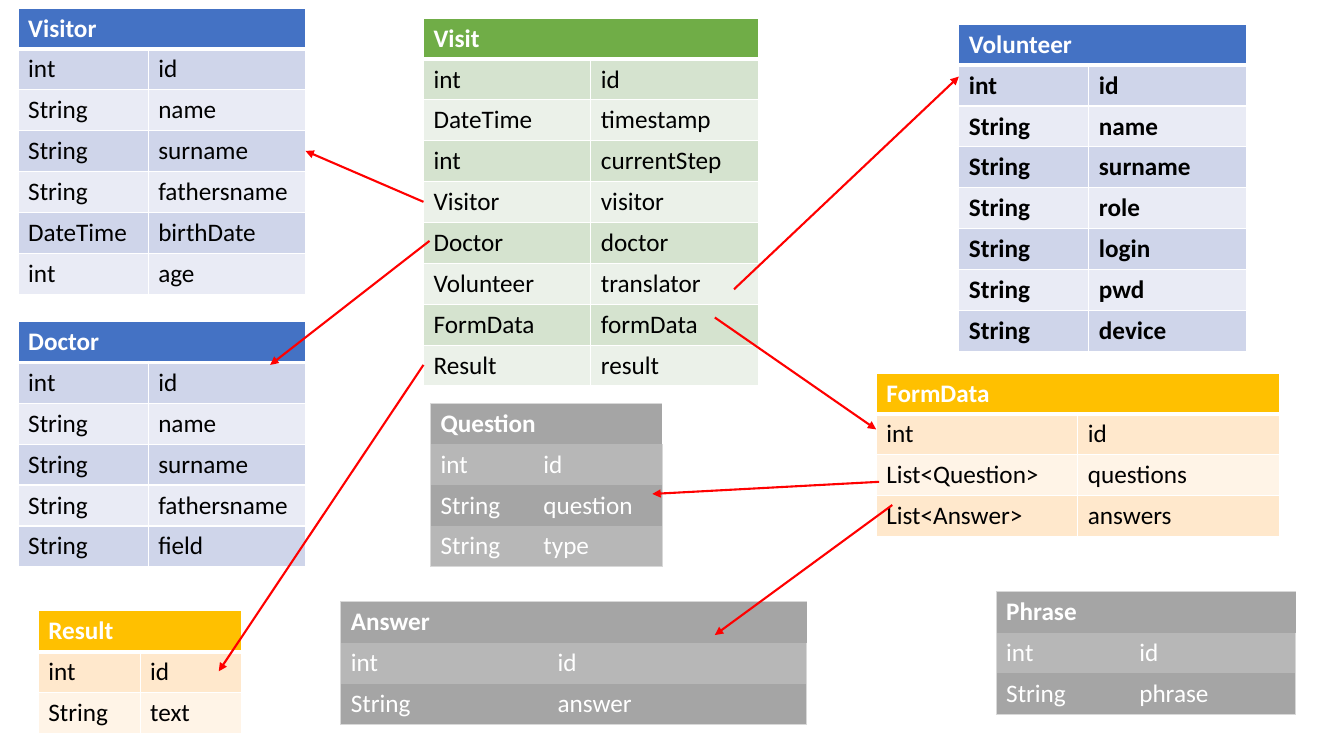
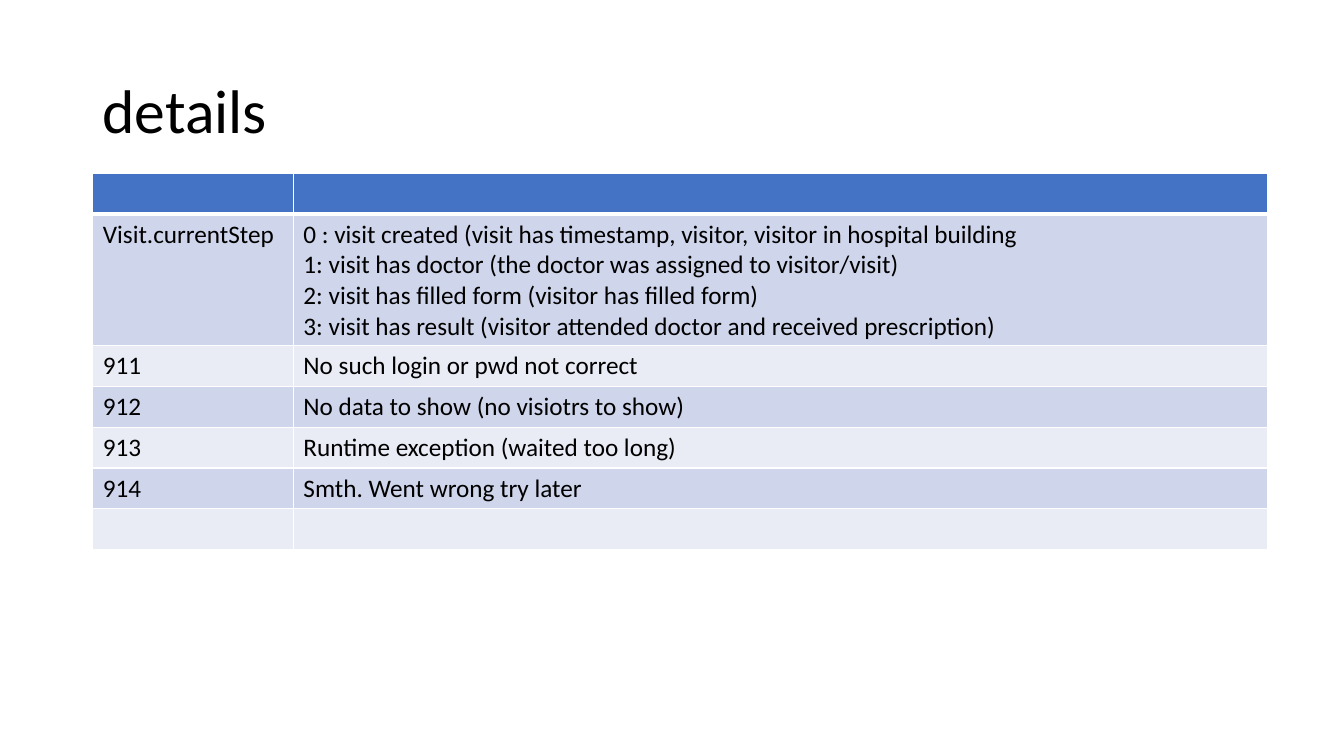
from dataclasses import dataclass

from pptx import Presentation
from pptx import util as u
from pptx.dml.color import RGBColor
from pptx.enum import shapes, text
from pptx.oxml import parse_xml
from pptx.oxml.ns import nsdecls
from pptx.presentation import Presentation as Deck
from pptx.shapes.connector import Connector
from pptx.shapes.graphfrm import GraphicFrame
from pptx.slide import Slide
from pptx.table import _Cell as Cell

FONT = "Calibri"
BLACK, WHITE, RED, SILVER = "000000", "FFFFFF", "FF0000", "D8D8D8"
ROW = u.Inches(1.62) // 4
LEFT, RIGHT = 1, 3  # connection sites


@dataclass(frozen=True)
class Theme:
    header: str
    odd: str
    even: str
    ink: str = BLACK
    grid: bool = True


BLUE = Theme("4472C4", "CFD5EA", "E9EBF5")
GREEN = Theme("70AD47", "D5E3CF", "EBF1E9")
GOLD = Theme("FFC000", "FFE8CC", "FFF4E7")
GRAY = Theme("A5A5A5", "B7B7B7", "A5A5A5", ink=WHITE, grid=False)


@dataclass(frozen=True)
class Grid:
    """A table; a header of one text spans all columns."""
    header: tuple[str, ...]
    theme: Theme
    left: float
    top: float
    widths: tuple[float, float]
    rows: list[tuple[str, str]]
    bold: bool = False


@dataclass(frozen=True)
class Arrow:
    start: tuple[float, float]
    end: tuple[float, float]


def fields(listing: str) -> list[tuple[str, str]]:
    """Split 'type name, type name' into pairs."""
    pairs = (item.split() for item in listing.split(", "))
    return [(kind, name) for kind, name in pairs]


ENTITIES = [
    Grid(("Visitor",), BLUE, 0.18, 0.08, (1.29, 1.56),
         fields("int id, String name, String surname, String fathersname, "
                "DateTime birthDate, int age")),
    Grid(("Doctor",), BLUE, 0.18, 3.19, (1.29, 1.56),
         fields("int id, String name, String surname, String fathersname, "
                "String field")),
    Grid(("Volunteer",), BLUE, 9.51, 0.24, (1.29, 1.56),
         fields("int id, String name, String surname, String role, "
                "String login, String pwd, String device"), bold=True),
    Grid(("Visit",), GREEN, 4.2, 0.18, (1.66, 1.66),
         fields("int id, DateTime timestamp, int currentStep, Visitor visitor, "
                "Doctor doctor, Volunteer translator, FormData formData, "
                "Result result")),
    Grid(("Result",), GOLD, 0.38, 6.06, (1.01, 1.01),
         fields("int id, String text")),
    Grid(("FormData",), GOLD, 8.69, 3.7, (2, 2),
         fields("int id, List<Question> questions, List<Answer> answers")),
    Grid(("Question",), GRAY, 4.27, 4, (1.02, 1.28),
         fields("int id, String question, String type")),
    Grid(("Answer",), GRAY, 3.38, 5.97, (2.05, 2.57),
         fields("int id, String answer")),
    Grid(("Phrase",), GRAY, 9.88, 5.87, (1.32, 1.65),
         fields("int id, String phrase")),
]

VISIT_TO_VISITOR = Arrow((4.2, 2), (3.03, 1.5))
FIELD_ARROWS = [
    Arrow((4.2, 3.62), (2.17, 6.66)),
    Arrow((7.28, 2.87), (9.51, 0.76)),
    Arrow((4.26, 2.39), (2.68, 3.62)),
    Arrow((7.09, 3.15), (8.69, 4.26)),
    Arrow((8.72, 4.78), (6.47, 4.9)),
    Arrow((8.85, 5.01), (7.09, 6.3)),
]

STEPS = "\n".join([
    "0 : visit created (visit has timestamp, visitor, visitor in hospital building",
    "1: visit has doctor (the doctor was assigned to visitor/visit)",
    "2: visit has filled form (visitor has filled form)",
    "3: visit has result (visitor attended doctor and received prescription)",
])
DETAILS = Grid(("", ""), BLUE, 0.92, 1.72, (1.99, 9.66), [
    ("Visit.currentStep", STEPS),
    ("911", "No such login or pwd not correct"),
    ("912", "No data to show (no visiotrs to show)"),
    ("913", "Runtime exception (waited too long)"),
    ("914", "Smth. Went wrong try later"),
    ("", ""),
])


def rgb(color: str) -> RGBColor:
    return RGBColor.from_string(color)


def write(tf: text, value: str, size: float, color: str, bold: bool = False) -> None:
    """Write one paragraph for each line of the value."""
    for i, line in enumerate(value.split("\n")):
        p = tf.add_paragraph() if i else tf.paragraphs[0]
        p.font.size = u.Pt(size)
        if line:
            r = p.add_run()
            r.text = line
            r.font.name, r.font.size, r.font.bold = FONT, u.Pt(size), bold
            r.font.color.rgb = rgb(color)


def set_border(cell: Cell, side: str, color: str, points: float) -> None:
    """Draw one side of a cell; zero points leaves it without a line."""
    fill = (f'<a:solidFill><a:srgbClr val="{color}"/></a:solidFill>'
            if points else "<a:noFill/>")
    cell._tc.get_or_add_tcPr().append(parse_xml(
        f'<a:ln{side} {nsdecls("a")} w="{int(u.Pt(points))}">{fill}</a:ln{side}>'))


def set_borders(cell: Cell, row: int, col: int, last_row: int, theme: Theme) -> None:
    if theme.grid:
        widths = {"L": 1, "R": 1, "T": 3 if row == 1 else 1, "B": 1 if row else 3}
    else:
        outer = {"L": col == 0, "R": col == 1, "T": row == 0, "B": row == last_row}
        widths = {side: 0.5 * on for side, on in outer.items()}
    for side, points in widths.items():
        set_border(cell, side, WHITE if theme.grid else SILVER, points)


def draw_grid(s: Slide, grid: Grid) -> GraphicFrame:
    theme, count = grid.theme, len(grid.rows) + 1
    frame = s.shapes.add_table(count, 2, u.Inches(grid.left), u.Inches(grid.top),
                               u.Inches(sum(grid.widths)), ROW * count)
    table = frame.table
    for column, width in zip(table.columns, grid.widths):
        column.width = u.Inches(width)
    for i, values in enumerate([grid.header, *grid.rows]):
        extra_lines = max(value.count("\n") for value in values)
        table.rows[i].height = ROW + extra_lines * u.Inches(0.3)
        fill = theme.header if i == 0 else theme.odd if i % 2 else theme.even
        for j in range(2):
            cell = table.cell(i, j)
            set_borders(cell, i, j, count - 1, theme)
            cell.fill.solid()
            cell.fill.fore_color.rgb = rgb(fill)
        for j, value in enumerate(values):
            write(table.cell(i, j).text_frame, value, 18,
                  theme.ink if i else WHITE, grid.bold or i == 0)
    if len(grid.header) == 1:
        table.cell(0, 0).merge(table.cell(0, 1))
    return frame


def draw_arrow(s: Slide, arrow: Arrow) -> Connector:
    points = [u.Inches(v) for v in (*arrow.start, *arrow.end)]
    line = s.shapes.add_connector(shapes.MSO_CONNECTOR.STRAIGHT, *points)
    line.line.color.rgb = rgb(RED)
    line.line.width = u.Pt(1.5)
    line.line._get_or_add_ln().append(
        parse_xml(f'<a:tailEnd {nsdecls("a")} type="triangle"/>'))
    line._element.spPr.append(parse_xml(f'<a:effectLst {nsdecls("a")}/>'))
    return line


def draw_title(s: Slide, title: str) -> None:
    sp = s.shapes.add_textbox(u.Inches(0.92), u.Inches(0.4),
                              u.Inches(11.5), u.Inches(1.45))
    tf = sp.text_frame
    tf.word_wrap = True
    tf.vertical_anchor = text.MSO_ANCHOR.MIDDLE
    write(tf, title, 44, BLACK)
    tf.paragraphs[0].line_spacing = 0.9


def add_slide(prs: Deck) -> Slide:
    return prs.slides.add_slide(prs.slide_layouts[6])


def build_model(prs: Deck) -> None:
    s = add_slide(prs)
    frames = {grid.header[0]: draw_grid(s, grid) for grid in ENTITIES}
    link = draw_arrow(s, VISIT_TO_VISITOR)
    link.begin_connect(frames["Visit"], LEFT)
    link.end_connect(frames["Visitor"], RIGHT)
    for arrow in FIELD_ARROWS:
        draw_arrow(s, arrow)


def build_details(prs: Deck) -> None:
    s = add_slide(prs)
    draw_title(s, "details")
    draw_grid(s, DETAILS)


def main() -> None:
    prs = Presentation()
    prs.slide_width, prs.slide_height = u.Inches(13.33), u.Inches(7.5)
    build_model(prs)
    build_details(prs)
    prs.save("out.pptx")


if __name__ == "__main__":
    main()
